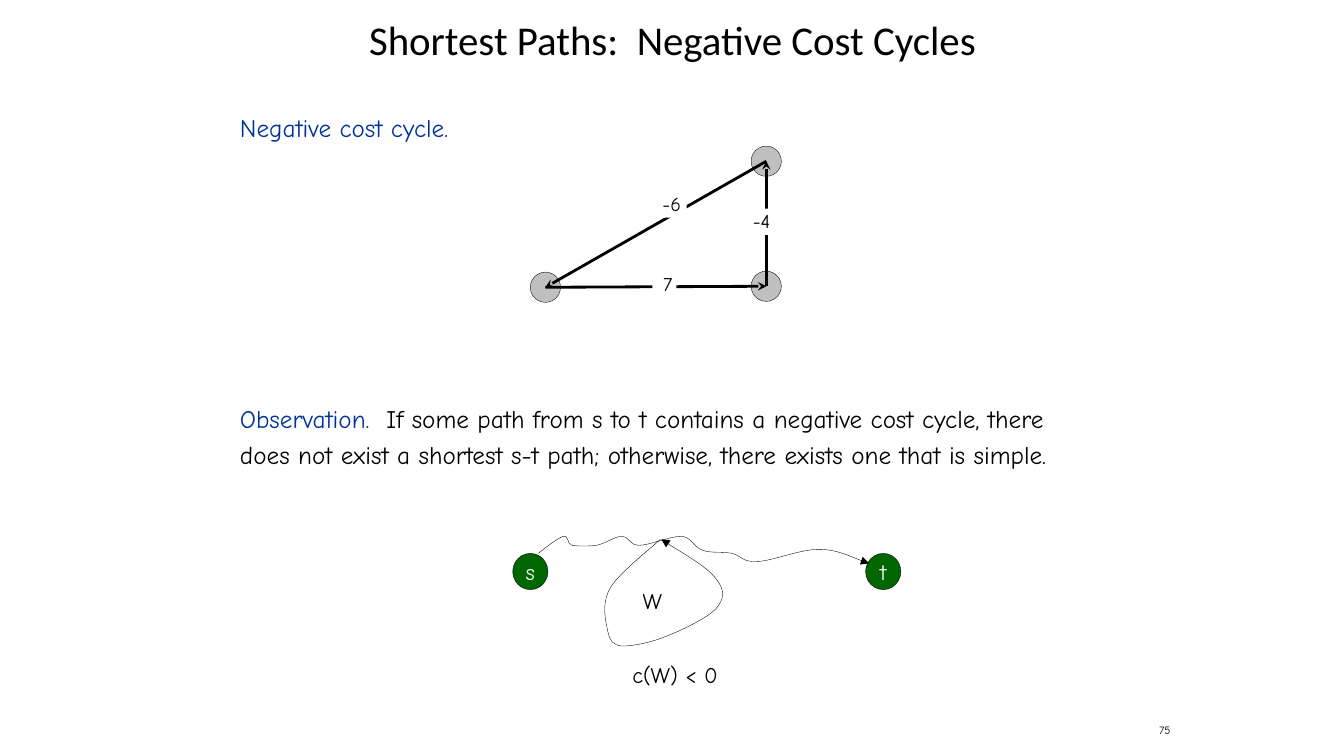
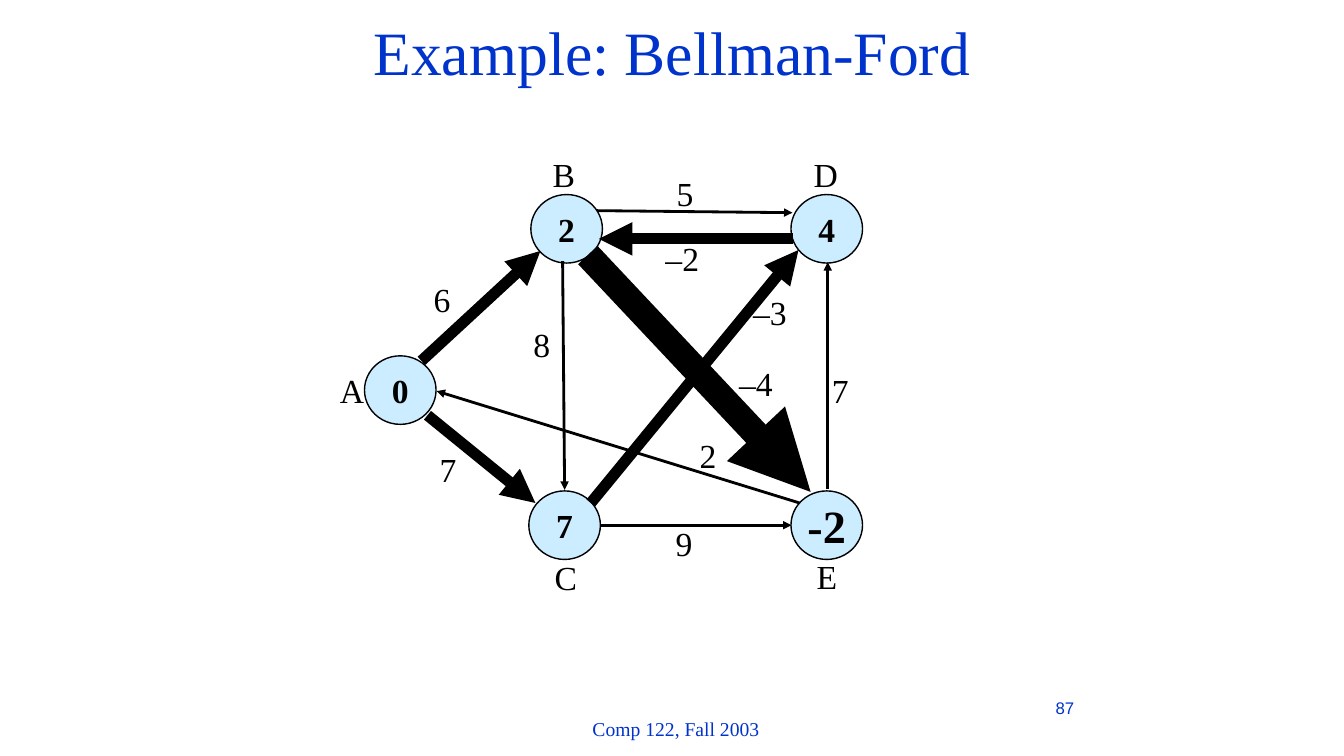
from dataclasses import dataclass

from lxml import etree
from pptx import Presentation
from pptx.dml.color import RGBColor
from pptx.enum.shapes import MSO_CONNECTOR, MSO_SHAPE
from pptx.enum.text import MSO_ANCHOR, PP_ALIGN
from pptx.oxml.ns import qn
from pptx.util import Inches, Pt

OVAL, RECT = MSO_SHAPE.OVAL, MSO_SHAPE.RECTANGLE
STRAIGHT = MSO_CONNECTOR.STRAIGHT
LEFT, MID, RIGHT = PP_ALIGN.LEFT, PP_ALIGN.CENTER, PP_ALIGN.RIGHT
TOP, CENTER = MSO_ANCHOR.TOP, MSO_ANCHOR.MIDDLE


@dataclass(frozen=True)
class Font:
    name: str
    size: float
    color: str = "000000"
    bold: bool = False


@dataclass(frozen=True)
class Theme:
    black: str = "000000"
    white: str = "FFFFFF"
    gray: str = "C0C0C0"
    green: str = "006600"
    sky: str = "CCECFF"
    pad: float = 0.05
    hair: float = 0.25
    thin: float = 2
    thick: float = 8
    huge: float = 19
    # Shortest-path slide
    head: Font = Font("Calibri", 29.2)
    body: Font = Font("Comic Neue", 18)
    term: Font = Font("Comic Neue", 18, "003399")
    cost: Font = Font("Comic Neue", 14)
    note: Font = Font("Comic Neue", 16)
    end: Font = Font("Comic Neue", 16, "FFFFFF")
    page: Font = Font("Comic Neue", 8)
    # Bellman-Ford slide
    title: Font = Font("Times New Roman", 44, "0033CC")
    label: Font = Font("Times New Roman", 24)
    value: Font = Font("Times New Roman", 24, bold=True)
    big: Font = Font("Times New Roman", 33, bold=True)
    foot: Font = Font("Times New Roman", 14, "0033CC")
    num: Font = Font("Arial", 12, "0033CC")


T = Theme()


def rgb(code):
    return RGBColor.from_string(code)


def add_run(para, text, font):
    run = para.add_run()
    run.text = text
    run.font.name = font.name
    run.font.size = Pt(font.size)
    run.font.bold = font.bold
    run.font.color.rgb = rgb(font.color)


def set_frame(shape, pad, anchor, wrap):
    frame = shape.text_frame
    frame.margin_left = frame.margin_right = Inches(pad)
    frame.margin_top = frame.margin_bottom = Inches(pad)
    frame.vertical_anchor = anchor
    frame.word_wrap = wrap
    return frame


def add_text(slide, box, text, font, align=LEFT, anchor=CENTER):
    shape = slide.shapes.add_textbox(*map(Inches, box))
    para = set_frame(shape, T.pad, anchor, True).paragraphs[0]
    para.alignment = align
    add_run(para, text, font)
    return para


def add_title(slide, top, height, text, font):
    return add_text(slide, (1.67, top, 10, height), text, font, MID)


def add_node(slide, mid, size, fill, line, text="", font=None):
    """Draw an oval around its centre point, with optional text inside."""
    (x, y), (w, h) = mid, size
    node = slide.shapes.add_shape(
        OVAL, *map(Inches, (x - w / 2, y - h / 2, w, h)))
    node.shadow.inherit = False
    node.fill.solid()
    node.fill.fore_color.rgb = rgb(fill)
    set_line(node.line, line)
    if text:
        para = set_frame(node, 0, CENTER, False).paragraphs[0]
        para.alignment = MID
        add_run(para, text, font)


def set_line(line, width, head=None):
    line.color.rgb = rgb(T.black)
    line.width = Pt(width)
    if head:
        ln = line._get_or_add_ln()
        etree.SubElement(ln, qn("a:tailEnd"), type=head)


def add_arrow(slide, start, end, width, head="triangle"):
    link = slide.shapes.add_connector(
        STRAIGHT, *map(Inches, (*start, *end)))
    set_line(link.line, width, head)
    etree.SubElement(link._element.spPr, qn("a:effectLst"))


def add_cost(slide, box, text):
    """Put an edge cost on a white patch that breaks the edge."""
    patch = slide.shapes.add_shape(RECT, *map(Inches, box))
    patch.shadow.inherit = False
    patch.fill.solid()
    patch.fill.fore_color.rgb = rgb(T.white)
    patch.line.fill.background()
    para = set_frame(patch, 0, TOP, True).paragraphs[0]
    para.alignment = MID
    add_run(para, text, T.cost)


def add_curve(slide, start, bends):
    """Draw an arrow of cubic bends: two control points and an end each."""
    pen = slide.shapes.build_freeform(*map(Inches, start))
    pen.add_line_segments(
        [tuple(map(Inches, bend[4:])) for bend in bends], close=False)
    curve = pen.convert_to_shape()
    sides = list(curve._element.iter(qn("a:lnTo")))
    for side, bend in zip(sides, bends):
        cubic = etree.Element(qn("a:cubicBezTo"))
        for x, y in zip(bend[::2], bend[1::2]):
            etree.SubElement(cubic, qn("a:pt"),
                             x=str(Inches(x) - curve.left),
                             y=str(Inches(y) - curve.top))
        side.getparent().replace(side, cubic)
    curve.shadow.inherit = False
    curve.fill.background()
    set_line(curve.line, T.hair, "triangle")


WALK = (
    (5.44, 5.41, 5.53, 5.34, 5.59, 5.32), (5.64, 5.31, 5.62, 5.39, 5.67, 5.41),
    (5.73, 5.42, 5.84, 5.42, 5.92, 5.41), (6.01, 5.39, 6.1, 5.32, 6.17, 5.32),
    (6.24, 5.32, 6.24, 5.41, 6.34, 5.41), (6.44, 5.41, 6.65, 5.32, 6.76, 5.32),
    (6.86, 5.33, 6.88, 5.43, 6.97, 5.46), (7.05, 5.49, 7.16, 5.47, 7.26, 5.49),
    (7.35, 5.51, 7.36, 5.58, 7.51, 5.57), (7.65, 5.57, 7.93, 5.45, 8.12, 5.45),
    (8.3, 5.45, 8.52, 5.56, 8.62, 5.59),
)
LOOP = (
    (6.47, 5.43, 6.13, 5.69, 6.05, 5.84), (5.96, 6, 6.01, 6.17, 6.03, 6.27),
    (6.05, 6.36, 6.08, 6.4, 6.17, 6.41), (6.27, 6.41, 6.44, 6.38, 6.59, 6.32),
    (6.75, 6.26, 7.02, 6.13, 7.1, 6.04), (7.19, 5.94, 7.19, 5.85, 7.1, 5.74),
    (7.01, 5.62, 6.67, 5.43, 6.56, 5.35),
)


def add_body(slide):
    pitch = 26
    first = add_text(slide, (2.33, 1, 8.58, 5.92), "Negative cost cycle.",
                     T.term, anchor=TOP)
    last = slide.shapes[-1].text_frame.add_paragraph()
    first.line_spacing = last.line_spacing = Pt(pitch)
    last.space_before = Pt(7 * pitch)
    add_run(last, "Observation.  ", T.term)
    add_run(last, "If some path from s to t contains a negative cost cycle, "
            "there does not exist a shortest s-t path; otherwise, there "
            "exists one that is simple.", T.body)


def draw_cycle(slide):
    add_text(slide, (9.58, 7.12, 2.08, 0.25), "75", T.page, RIGHT)
    title = add_title(slide, 0.16, 0.5,
                      "Shortest Paths:  Negative Cost Cycles", T.head)
    title.line_spacing = 0.95
    add_body(slide)

    for x, text in ((5.26, "s"), (8.76, "t")):
        add_node(slide, (x, 5.67), (0.35, 0.36), T.green, T.hair, text, T.end)
    add_curve(slide, (5.34, 5.49), WALK)
    add_curve(slide, (6.55, 5.35), LOOP)
    add_text(slide, (6.22, 5.75, 0.5, 0.42), "W", T.note, MID)
    add_text(slide, (6, 6.48, 1.39, 0.42), "c(W) < 0", T.note, MID)

    peak, corner, base = nodes = (7.6, 1.6), (7.6, 2.84), (5.41, 2.85)
    for mid in nodes:
        add_node(slide, mid, (0.3, 0.3), T.gray, T.hair)
    for start, end in ((corner, peak), (base, corner), (peak, base)):
        add_arrow(slide, start, end, T.thin, "stealth")
    for x, y, w, text in ((6.45, 1.9, 0.36, " -6"), (6.47, 2.7, 0.24, " 7"),
                          (7.33, 2.07, 0.38, " -4")):
        add_cost(slide, (x, y, w, 0.26), text)


NODES = (
    ((3.97, 3.87), "0", T.value), ((5.62, 2.27), "2", T.value),
    ((8.2, 2.27), "4", T.value), ((5.6, 5.21), "7", T.value),
    ((8.2, 5.21), "-2", T.big),
)
EDGES = (
    ((4.18, 3.58), (5.36, 2.49), T.thick),
    ((4.24, 4.12), (5.31, 4.99), T.thick),
    ((5.58, 2.59), (5.6, 4.86), T.thin),
    ((8.21, 4.85), (8.21, 2.6), T.thin),
    ((5.96, 5.21), (7.85, 5.21), T.thin),
    ((5.92, 2.09), (7.86, 2.11), T.thin),
    ((5.86, 4.99), (7.92, 2.48), T.thick),
    ((7.93, 4.99), (4.33, 3.88), T.thin),
    ((7.87, 2.37), (5.94, 2.37), T.thick),
    ((5.83, 2.53), (8.04, 4.88), T.huge),
)
LABELS = (
    ("A", 3.32, 3.62), ("B", 5.43, 1.48), ("D", 8.02, 1.48),
    ("C", 5.45, 5.48), ("E", 8.05, 5.47), ("6", 4.25, 2.72),
    ("5", 6.66, 1.67), ("–3", 7.42, 2.85), ("9", 6.65, 5.14),
    ("7", 8.2, 3.62), ("7", 4.31, 4.4), ("8", 5.24, 3.16),
    ("–2", 6.55, 2.31), ("–4", 7.28, 3.55), ("2", 6.89, 4.27),
)


def draw_bellman(slide):
    add_text(slide, (10.42, 6.87, 1, 0.3), "87", T.num)
    add_title(slide, 0, 1, "Example: Bellman-Ford", T.title)
    add_text(slide, (5.82, 7.07, 1.77, 0.31), "Comp 122, Fall 2003",
             T.foot, MID)
    for mid, text, font in NODES:
        add_node(slide, mid, (0.71, 0.68), T.sky, 1, text, font)
    for start, end, width in EDGES:
        add_arrow(slide, start, end, width)
    for text, x, y in LABELS:
        width = 0.35 if len(text) == 1 else 0.45
        add_text(slide, (x, y, width, 0.46), text, T.label, anchor=TOP)


def main():
    deck = Presentation()
    deck.slide_width, deck.slide_height = Inches(13.33), Inches(7.5)
    for draw in (draw_cycle, draw_bellman):
        draw(deck.slides.add_slide(deck.slide_layouts[6]))
    deck.save("out.pptx")


if __name__ == "__main__":
    main()
